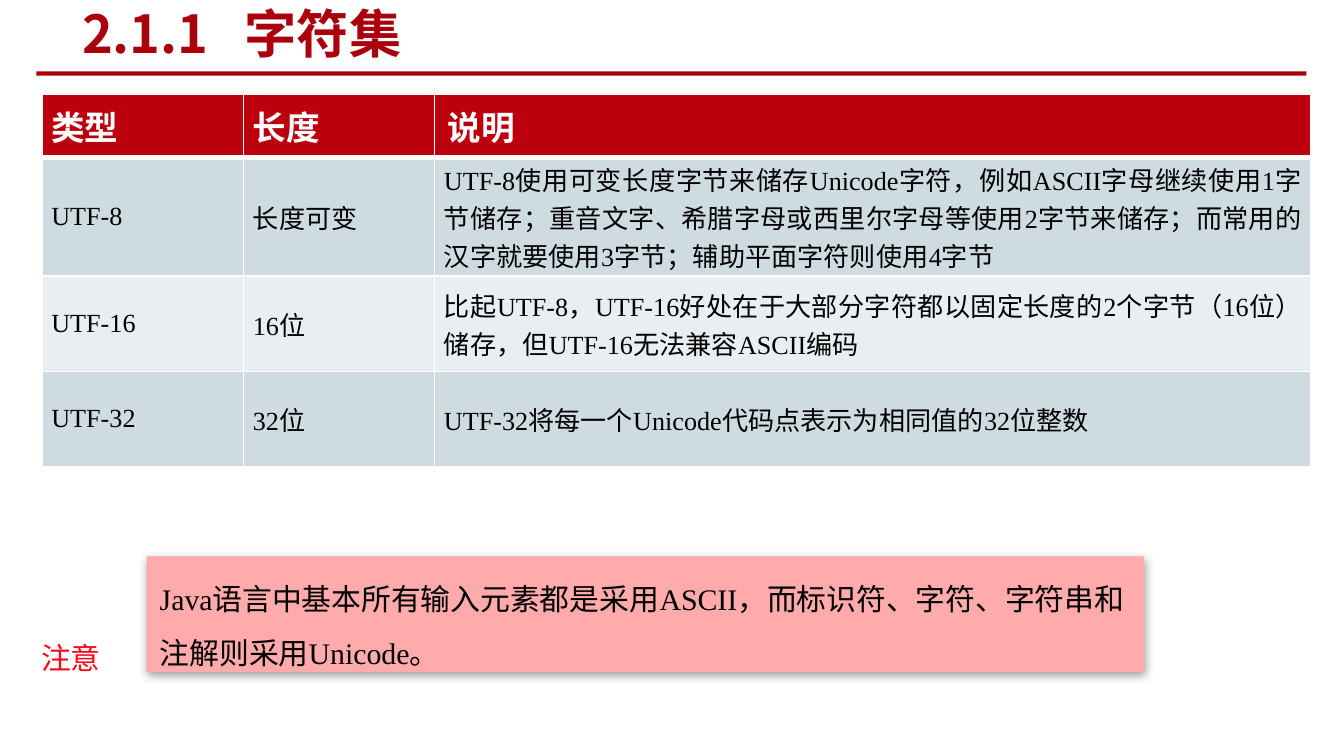
from dataclasses import dataclass

from lxml import etree
from pptx import Presentation
from pptx.dml.color import RGBColor
from pptx.enum.shapes import MSO_SHAPE
from pptx.enum.text import MSO_ANCHOR, MSO_AUTO_SIZE, PP_ALIGN
from pptx.oxml.ns import qn
from pptx.util import Cm, Pt

RECTANGLE = MSO_SHAPE.RECTANGLE
TOP, MIDDLE = MSO_ANCHOR.TOP, MSO_ANCHOR.MIDDLE
LEFT, JUSTIFY = PP_ALIGN.LEFT, PP_ALIGN.JUSTIFY
NO_FIT, GROW = MSO_AUTO_SIZE.NONE, MSO_AUTO_SIZE.SHAPE_TO_FIT_TEXT

DARK_RED = RGBColor(0xAA, 0x00, 0x0B)
HEADER_RED = RGBColor(0xBC, 0x00, 0x0D)
LABEL_RED = RGBColor(0xFF, 0x05, 0x17)
PINK = RGBColor(0xFF, 0xAA, 0xAB)
BAND_DARK = RGBColor(0xCE, 0xDC, 0xE1)
BAND_LIGHT = RGBColor(0xE8, 0xEE, 0xF1)
BLACK = RGBColor(0x00, 0x00, 0x00)
WHITE = RGBColor(0xFF, 0xFF, 0xFF)

SANS = "Noto Sans CJK SC"
SERIF = "Times New Roman"


@dataclass(frozen=True)
class TextStyle:
    size: float
    color: RGBColor
    font: str = SERIF
    bold: bool = False


@dataclass(frozen=True)
class Encoding:
    name: str
    length: str
    description: str


TITLE_STYLE = TextStyle(28, DARK_RED, SANS, True)
HEADER_STYLE = TextStyle(18, WHITE, bold=True)
CELL_STYLE = TextStyle(14, BLACK)
NOTE_STYLE = TextStyle(16, BLACK)
LABEL_STYLE = TextStyle(16, LABEL_RED, SANS)

HEADERS = ("类型", "长度", "说明")
ENCODINGS = (
    Encoding("UTF-8", "长度可变",
             "UTF-8使用可变长度字节来储存Unicode字符，例如ASCII字母继续使用1字节储存；"
             "重音文字、希腊字母或西里尔字母等使用2字节来储存；"
             "而常用的汉字就要使用3字节；辅助平面字符则使用4字节"),
    Encoding("UTF-16", "16位",
             "比起UTF-8，UTF-16好处在于大部分字符都以固定长度的2个字节（16位）储存，"
             "但UTF-16无法兼容ASCII编码"),
    Encoding("UTF-32", "32位", "UTF-32将每一个Unicode代码点表示为相同值的32位整数"),
)
COLUMN_WIDTHS = (3.81, 3.61, 16.57)
ROW_HEIGHTS = (1.2, 2.24, 1.8, 1.8)


def add_run(paragraph, text: str, style: TextStyle) -> None:
    run = paragraph.add_run()
    run.text = text
    run.font.size = Pt(style.size)
    run.font.bold = style.bold
    run.font.color.rgb = style.color
    run.font.name = style.font
    east_asian = etree.SubElement(run.font._element, qn("a:ea"))
    east_asian.set("typeface", SANS)


def place(shape, left: float, top: float, width: float, height: float) -> None:
    shape.left, shape.top = Cm(left), Cm(top)
    shape.width, shape.height = Cm(width), Cm(height)


def add_panel(slide, left: float, top: float, width: float, height: float,
              color: RGBColor):
    shape = slide.shapes.add_shape(RECTANGLE, Cm(left), Cm(top), Cm(width), Cm(height))
    shape.fill.solid()
    shape.fill.fore_color.rgb = color
    shape.line.fill.background()
    shape.shadow.inherit = False
    return shape


def add_soft_shadow(shape) -> None:
    effects = shape._element.spPr.find(qn("a:effectLst"))
    shadow = etree.SubElement(effects, qn("a:outerShdw"), blurRad=str(Pt(5)),
                              dist=str(Pt(1.6)), dir="5400000", rotWithShape="0")
    color = etree.SubElement(shadow, qn("a:srgbClr"), val=str(BLACK))
    etree.SubElement(color, qn("a:alpha"), val="38000")


def set_borders(cell, top: float, bottom: float) -> None:
    properties = cell._tc.get_or_add_tcPr()
    for tag, width in (("a:lnL", 1), ("a:lnR", 1), ("a:lnT", top), ("a:lnB", bottom)):
        line = etree.SubElement(properties, qn(tag), w=str(Pt(width)))
        fill = etree.SubElement(line, qn("a:solidFill"))
        etree.SubElement(fill, qn("a:srgbClr"), val=str(WHITE))


def fill_cell(cell, text: str, row: int, column: int) -> None:
    is_header = row == 0
    # The last header cell keeps wider margins and sits at the top
    roomy = is_header and column == len(HEADERS) - 1
    cell.margin_left = cell.margin_right = Cm(0.25 if roomy else 0.18)
    cell.margin_top = cell.margin_bottom = Cm(0.13 if roomy else 0)
    cell.vertical_anchor = TOP if roomy else MIDDLE
    set_borders(cell, top=3 if row == 1 else 1, bottom=3 if is_header else 1)
    cell.fill.solid()
    band = BAND_DARK if row % 2 else BAND_LIGHT
    cell.fill.fore_color.rgb = HEADER_RED if is_header else band
    paragraph = cell.text_frame.paragraphs[0]
    paragraph.alignment = LEFT if is_header else JUSTIFY
    add_run(paragraph, text, HEADER_STYLE if is_header else CELL_STYLE)


def add_title(slide) -> None:
    title = slide.shapes.title
    place(title, 1.3, 0.05, 13.46, 1.14)
    frame = title.text_frame
    frame.auto_size = NO_FIT
    frame.vertical_anchor = MIDDLE
    paragraph = frame.paragraphs[0]
    paragraph.alignment = LEFT
    tabs = etree.SubElement(paragraph._p.get_or_add_pPr(), qn("a:tabLst"))
    etree.SubElement(tabs, qn("a:tab"), pos=str(Cm(3.07)), algn="l")
    add_run(paragraph, "2.1.1\t字符集", TITLE_STYLE)


def add_encoding_table(slide) -> None:
    rows = [HEADERS] + [(e.name, e.length, e.description) for e in ENCODINGS]
    table = slide.shapes.add_table(
        len(rows), len(HEADERS), Cm(0.79), Cm(1.78),
        Cm(sum(COLUMN_WIDTHS)), Cm(sum(ROW_HEIGHTS))).table
    table.horz_banding = False
    for column, width in zip(table.columns, COLUMN_WIDTHS):
        column.width = Cm(width)
    for row, height in zip(table.rows, ROW_HEIGHTS):
        row.height = Cm(height)
    for row, texts in enumerate(rows):
        for column, text in enumerate(texts):
            fill_cell(table.cell(row, column), text, row, column)


def add_note(slide) -> None:
    note = add_panel(slide, 2.77, 10.52, 18.85, 2.18, PINK)
    add_soft_shadow(note)
    frame = note.text_frame
    frame.word_wrap = True
    frame.vertical_anchor = TOP
    paragraph = frame.paragraphs[0]
    paragraph.alignment = LEFT
    paragraph.line_spacing = 1.5
    add_run(paragraph, "Java语言中基本所有输入元素都是采用ASCII，"
            "而标识符、字符、字符串和注解则采用Unicode。", NOTE_STYLE)


def add_note_label(slide) -> None:
    label = slide.shapes.add_textbox(Cm(0.53), Cm(11.96), Cm(1.65), Cm(0.94))
    label.text_frame.word_wrap = False
    label.text_frame.auto_size = GROW
    add_run(label.text_frame.paragraphs[0], "注意", LABEL_STYLE)


def main() -> None:
    presentation = Presentation()
    presentation.slide_width, presentation.slide_height = Cm(25.4), Cm(14.29)
    slide = presentation.slides.add_slide(presentation.slide_layouts[5])

    # Heading and the rule below it
    add_panel(slide, 0.69, 1.35, 24, 0.08, DARK_RED)
    add_title(slide)

    # Note, table and note label
    add_note(slide)
    add_encoding_table(slide)
    add_note_label(slide)

    presentation.save("out.pptx")


if __name__ == "__main__":
    main()
